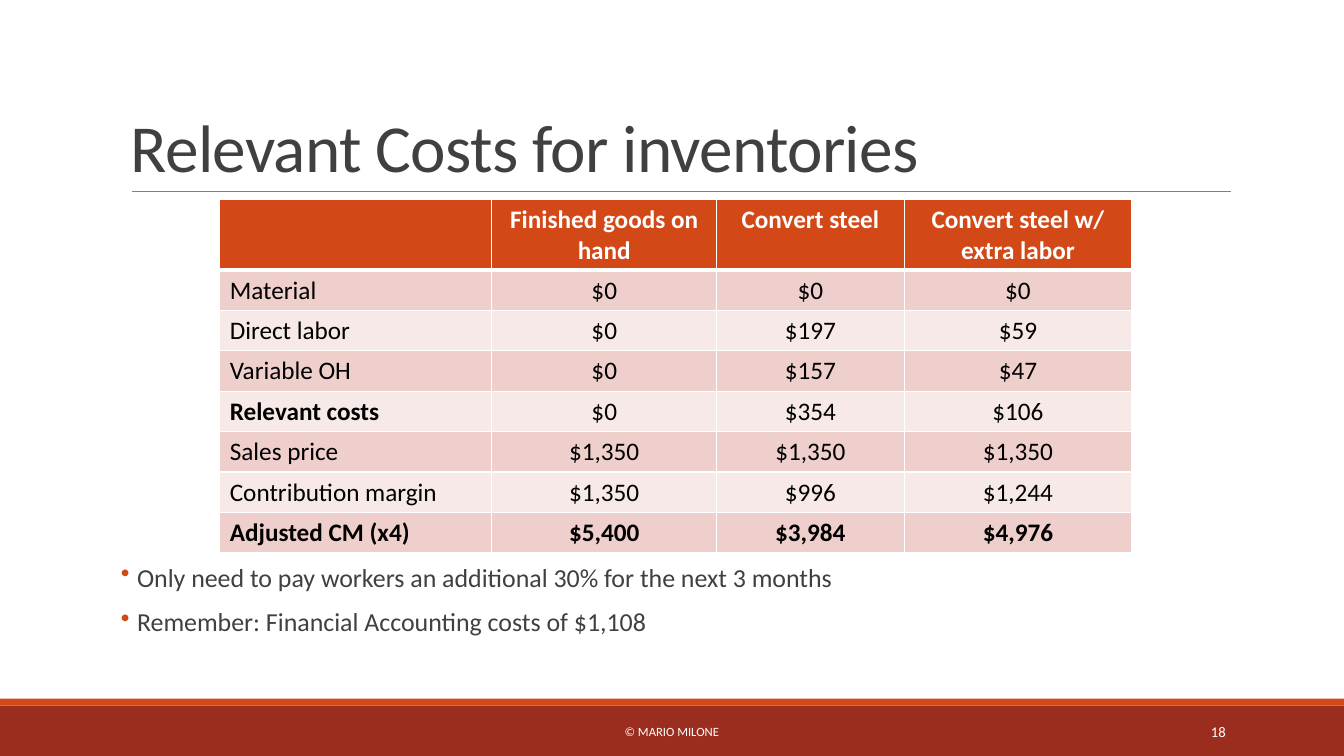
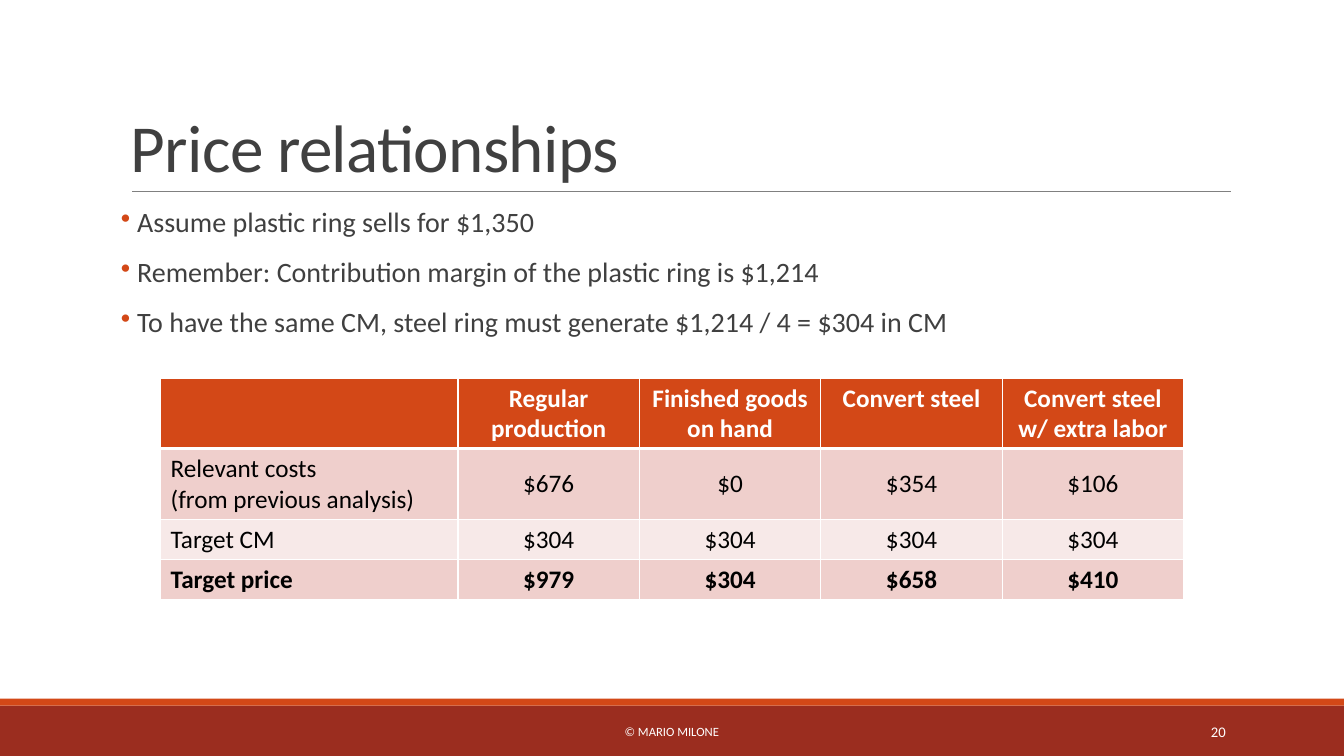
from dataclasses import dataclass

from lxml.etree import SubElement
from pptx import Presentation
from pptx.dml.color import RGBColor as Color
from pptx.enum.shapes import MSO_CONNECTOR as Connector, MSO_SHAPE as Shape
from pptx.enum.text import MSO_ANCHOR as Anchor, PP_ALIGN as Align
from pptx.oxml.ns import qn
from pptx.util import Inches, Pt


@dataclass(frozen=True)
class Theme:
    font: str = "Calibri"
    orange: str = "D34817"
    brick: str = "9B2D1F"
    rule: str = "808080"
    ink: str = "404040"
    black: str = "000000"
    white: str = "FFFFFF"
    stripes: tuple = ("EFCFCC", "F7E9E8")
    title_size: float = 48
    table_size: float = 18
    footer_size: float = 9
    number_size: float = 10.5


theme = Theme()

# Slide contents; positions and widths are percentages of the slide's size
slides = [
    {
        "number": "18",
        "title": "Relevant Costs for inventories",
        "bullets": [
            "Only need to pay workers an additional 30% for the next 3 months",
            "Remember: Financial Accounting costs of $1,108",
        ],
        "bullet_top": 74.4, "bullet_height": 14,
        "bullet_size": 18.5, "bullet_leading": 0.8,
        "table_left": 16.35, "table_top": 26.4,
        "columns": [20.25, 16.72, 13.95, 16.95],
        "rows": [
            ["", "Finished goods on hand", "Convert steel", "Convert steel w/ extra labor"],
            ["Material", "$0", "$0", "$0"],
            ["Direct labor", "$0", "$197", "$59"],
            ["Variable OH", "$0", "$157", "$47"],
            ["Relevant costs", "$0", "$354", "$106"],
            ["Sales price", "$1,350", "$1,350", "$1,350"],
            ["Contribution margin", "$1,350", "$996", "$1,244"],
            ["Adjusted CM (x4)", "$5,400", "$3,984", "$4,976"],
        ],
        "bold_labels": ["Relevant costs"],
    },
    {
        "number": "20",
        "title": "Price relationships",
        "bullets": [
            "Assume plastic ring sells for $1,350",
            "Remember: Contribution margin of the plastic ring is $1,214",
            "To have the same CM, steel ring must generate $1,214 / 4 = $304 in CM",
        ],
        "bullet_top": 26.93, "bullet_height": 22,
        "bullet_size": 20, "bullet_leading": 0.9,
        "table_left": 11.95, "table_top": 50,
        "columns": [22.13] + [13.5] * 4,
        "rows": [
            ["", "Regular production", "Finished goods on hand", "Convert steel",
             "Convert steel w/ extra labor"],
            ["Relevant costs\n(from previous analysis)", "$676", "$0", "$354", "$106"],
            ["Target CM", "$304", "$304", "$304", "$304"],
            ["Target price", "$979", "$304", "$658", "$410"],
        ],
        "bold_labels": [],
    },
]

deck = Presentation()
deck.slide_width, deck.slide_height = Inches(13.33), Inches(7.5)


def place(left, top, width, height):
    """Turn percentages of the slide's size into lengths."""
    across, down = deck.slide_width / 100, deck.slide_height / 100
    return round(left * across), round(top * down), round(width * across), round(height * down)


def write(frame, text, size, color, align=Align.LEFT, bold=False):
    """Fill a text frame and format every run in it."""
    frame.word_wrap = True
    frame.text = text
    for para in frame.paragraphs:
        para.alignment = align
        for span in para.runs:
            span.font.name, span.font.size, span.font.bold = theme.font, Pt(size), bold
            span.font.color.rgb = Color.from_string(color)


for content in slides:
    page = deck.slides.add_slide(deck.slide_layouts[6])

    # Bottom bands
    for top, height, color in [(93.33, 6.67, theme.brick), (92.4, 0.93, theme.orange)]:
        band = page.shapes.add_shape(Shape.RECTANGLE, *place(0, top, 100, height))
        band.shadow.inherit = False
        band.fill.solid()
        band.fill.fore_color.rgb = Color.from_string(color)
        band.line.fill.background()

    # Title and the rule under it
    left, top, width, _ = place(9.83, 25.33, 81.75, 0)
    rule = page.shapes.add_connector(Connector.STRAIGHT, left, top, left + width, top)
    rule.line.color.rgb = Color.from_string(theme.rule)
    rule.line.width = Pt(0.5)
    SubElement(rule._element.spPr, qn("a:effectLst"))

    title = page.shapes.add_textbox(*place(9, 4.13, 82.5, 21.2)).text_frame
    write(title, content["title"], theme.title_size, theme.ink)
    title.vertical_anchor = Anchor.BOTTOM
    title.paragraphs[0].line_spacing = 0.85
    title.paragraphs[0].runs[0]._r.get_or_add_rPr().set("spc", "-50")

    # Bullets
    body = page.shapes.add_textbox(
        *place(9, content["bullet_top"], 82.5, content["bullet_height"])).text_frame
    body.margin_left = body.margin_right = 0
    write(body, "\n".join(content["bullets"]), content["bullet_size"], theme.ink)
    for para in body.paragraphs:
        para.line_spacing = content["bullet_leading"]
        para.space_before, para.space_after = Pt(12), Pt(2)
        properties = para._p.get_or_add_pPr()
        properties.set("marL", str(Inches(0.16)))
        properties.set("indent", str(-Inches(0.16)))
        bullet_color = SubElement(properties, qn("a:buClr"))
        SubElement(bullet_color, qn("a:srgbClr"), val=theme.orange)
        SubElement(properties, qn("a:buChar"), char="•")

    # Footer and slide number
    for text, left, width, size, align in [
        ("© MARIO MILONE", 30.22, 39.52, theme.footer_size, Align.CENTER),
        (content["number"], 81.22, 10.72, theme.number_size, Align.RIGHT),
    ]:
        footer = page.shapes.add_textbox(*place(left, 94.13, width, 5.33)).text_frame
        write(footer, text, size, theme.white, align)
        footer.vertical_anchor = Anchor.MIDDLE

    # Table
    rows, columns = content["rows"], content["columns"]
    last = len(rows) - 1
    table = page.shapes.add_table(
        len(rows), len(columns),
        *place(content["table_left"], content["table_top"], sum(columns), 5.33 * len(rows)),
    ).table
    for column, share in zip(table.columns, columns):
        column.width = place(0, 0, share, 0)[2]

    for r, row in enumerate(rows):
        header = r == 0
        two_lines = header or "\n" in row[0]
        table.rows[r].height = place(0, 0, 0, 9.33 if two_lines else 5.33)[3]
        for c, text in enumerate(row):
            cell = table.cell(r, c)
            bold = r in (0, last) or text in content["bold_labels"]
            write(cell.text_frame, text, theme.table_size,
                  theme.white if header else theme.black,
                  Align.CENTER if c else Align.LEFT, bold)
            cell.vertical_anchor = Anchor.TOP if header else Anchor.MIDDLE

            # White borders, heavier between header and body
            for side in "LRTB":
                heavy = (r, side) in [(0, "B"), (1, "T")]
                border = SubElement(cell._tc.get_or_add_tcPr(), qn(f"a:ln{side}"),
                                    w=str(Pt(3 if heavy else 1)))
                SubElement(SubElement(border, qn("a:solidFill")), qn("a:srgbClr"),
                           val=theme.white)
            cell.fill.solid()
            cell.fill.fore_color.rgb = Color.from_string(
                theme.orange if header else theme.stripes[(r - 1) % 2])

deck.save("out.pptx")
